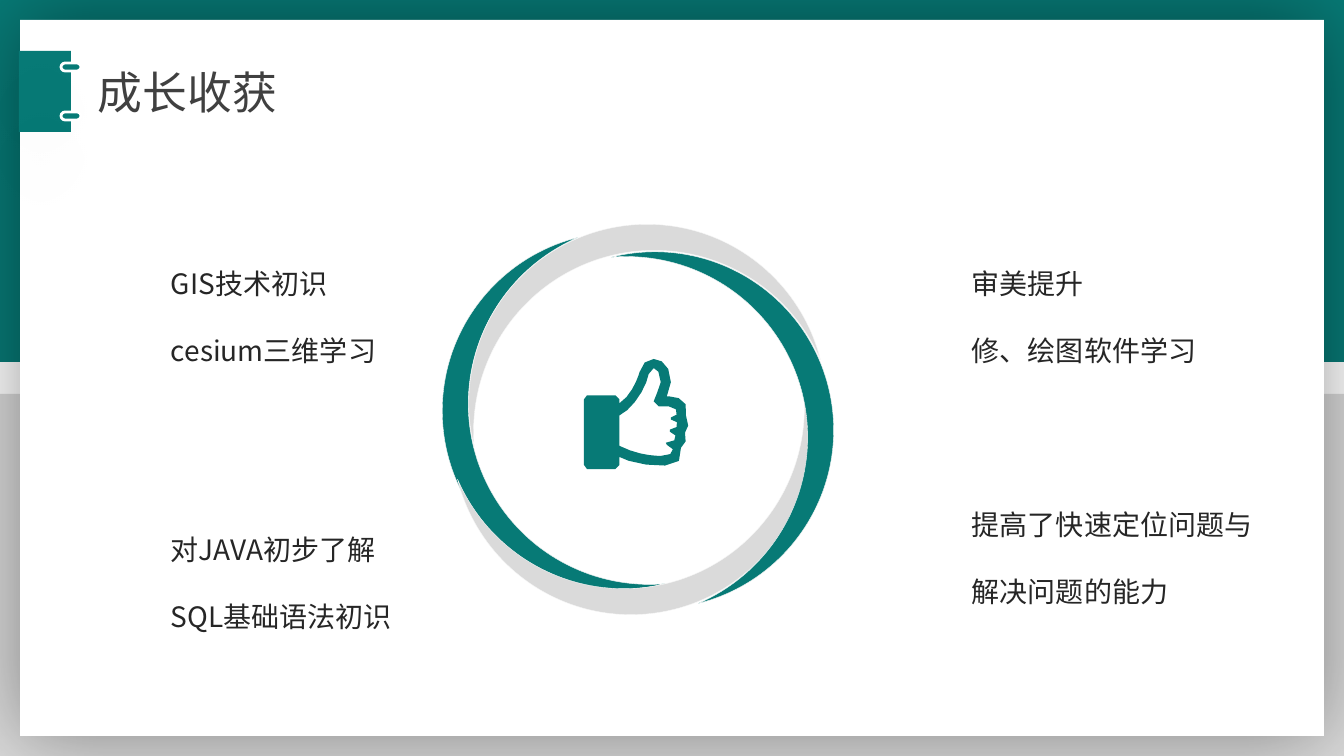
from math import dist
from lxml.etree import SubElement
from pptx import Presentation
from pptx.dml.color import RGBColor
from pptx.enum.shapes import MSO_SHAPE as Preset
from pptx.enum.text import MSO_AUTO_SIZE as AutoSize
from pptx.oxml.ns import qn
from pptx.util import Pt

SCALE = 914400 / 100.8
FONT = "Noto Sans CJK SC"
COLORS = {
    "teal": "077A76",
    "grey": "DADADA",
    "white": "FFFFFF",
    "edge": "F8F8F8",
    "title": "404040",
    "body": "262626",
    "shadow": "000000",
}

MOONS = [
    (445, 254, 345.9, "teal"),
    (536, 138, 75.9, "grey"),
    (563, 344, 255.9, "grey"),
    (652, 230, 165.9, "teal"),
]

NOTES = [
    (161, 228, 146, ["GIS技术初识", "cesium三维学习"]),
    (962, 228, 136, ["审美提升", "修、绘图软件学习"]),
    (161, 494, 136, ["对JAVA初步了解", "SQL基础语法初识"]),
    (962, 469, 146, ["提高了快速定位问题与解决问题的能力"]),
]

HAND_OUTLINE = [
    (96, 88),
    (106, 118, 40, 102, 35, 97), (35, 105),
    (35, 107, 33, 109, 31, 109), (3, 109),
    (1, 109, 0, 107, 0, 105), (0, 40),
    (0, 38, 1, 36, 3, 36), (31, 36),
    (33, 36, 35, 38, 35, 40), (35, 44),
    (48, 36, 55, 14, 55, 13),
    (57, 5, 62, 0, 69, 0),
    (77, 0, 86, 7, 86, 23),
    (86, 27, 84, 33, 82, 37), (84, 37),
    (94, 37, 105, 42, 101, 56),
    (105, 63, 103, 70, 100, 73),
    (103, 79, 100, 85, 96, 88),
]
HAND_HOLE = [
    (85, 70),
    (95, 70, 95, 60, 86, 60),
    (85, 59, 85, 58, 86, 58),
    (95, 58, 94, 47, 84, 47), (74, 47),
    (71, 47, 69, 45, 69, 42),
    (69, 38, 76, 29, 76, 23),
    (76, 14, 72, 9, 69, 9),
    (66, 9, 65, 11, 64, 15),
    (62, 28, 48, 50, 35, 56), (35, 86),
    (53, 95, 69, 96, 76, 96),
    (88, 97, 93, 88, 82, 85),
    (79, 84, 79, 83, 81, 83),
    (93, 83, 94, 74, 85, 72),
    (83, 72, 83, 70, 85, 70),
]


def px(length):
    return round(length * SCALE)


def color(name):
    return RGBColor.from_string(COLORS[name])


def paint(shape, fill, line=None, width=0):
    shape.shadow.inherit = False
    shape.fill.solid()
    shape.fill.fore_color.rgb = color(fill)
    if line:
        shape.line.color.rgb = color(line)
        shape.line.width = Pt(width)
    else:
        shape.line.fill.background()


def add_block(shapes, preset, frame, fill, line=None, width=0, rotation=0, adjust=None):
    block = shapes.add_shape(preset, *map(px, frame))
    paint(block, fill, line, width)
    block.rotation = rotation
    if adjust is not None:
        block.adjustments[0] = adjust
    return block


def add_shadow(shape, alpha, angle, distance, blur):
    effects = shape.element.spPr.find(qn("a:effectLst"))
    shadow = SubElement(effects, qn("a:outerShdw"), blurRad=str(px(blur)),
                        dist=str(px(distance)), dir=str(angle * 60000),
                        algn="ctr", rotWithShape="0")
    tint = SubElement(shadow, qn("a:srgbClr"), val=COLORS["shadow"])
    SubElement(tint, qn("a:alpha"), val=str(alpha * 1000))


def add_text(page, lines, frame, size, fill, spacing=None):
    box = page.shapes.add_textbox(*map(px, frame))
    box.text_frame.word_wrap = True
    box.text_frame.auto_size = AutoSize.SHAPE_TO_FIT_TEXT
    for index, line in enumerate(lines):
        para = box.text_frame.add_paragraph() if index else box.text_frame.paragraphs[0]
        if spacing:
            para.line_spacing = spacing
        span = para.add_run()
        span.text = line
        span.font.size = Pt(size)
        span.font.name = FONT
        span.font.color.rgb = color(fill)
        SubElement(span._r.get_or_add_rPr(), qn("a:ea"), typeface=FONT)


def trace(segments, left, top, stretch=1.01):
    points = [segments[0]]
    for segment in segments[1:]:
        if len(segment) == 2:
            points.append(segment)
            continue
        start = points[-1]
        controls = start + segment
        reach = dist(start, segment[:2]) + dist(segment[:2], segment[2:4])
        steps = max(1, min(5, round(reach / 7)))
        for step in range(1, steps + 1):
            t = step / steps
            weights = ((1 - t) ** 3, 3 * t * (1 - t) ** 2, 3 * t * t * (1 - t), t ** 3)
            points.append(tuple(sum(w * c for w, c in zip(weights, controls[axis::2]))
                                for axis in (0, 1)))
    return [(px(left + stretch * x), px(top + stretch * y)) for x, y in points]


def add_thumb(page, left, top):
    outline = trace(HAND_OUTLINE, left, top)
    hole = trace(HAND_HOLE, left, top)
    builder = page.shapes.build_freeform(*outline[0], scale=1.0)
    builder.add_line_segments(outline[1:], close=True)
    builder.move_to(*hole[0])
    builder.add_line_segments(hole[1:], close=True)
    paint(builder.convert_to_shape(), "teal")


def add_backdrop(page):
    add_block(page.shapes, Preset.RECTANGLE, (0, 0, 1344, 362), "teal")
    add_block(page.shapes, Preset.RECTANGLE, (0, 394, 1344, 362), "grey")
    sheet = add_block(page.shapes, Preset.RECTANGLE, (20, 20, 1304, 716), "white")
    add_shadow(sheet, alpha=40, angle=260, distance=0, blur=88)


def add_heading_mark(page):
    add_block(page.shapes, Preset.RECTANGLE, (19, 51, 52, 81), "teal")
    clips = page.shapes.add_group_shape()
    for top in (57, 106):
        clip = add_block(clips.shapes, Preset.ROUNDED_RECTANGLE, (67, top, 8, 20), "teal",
                         line="white", width=2, rotation=90, adjust=0.5)
        add_shadow(clip, alpha=13, angle=125, distance=53, blur=63)


def main():
    deck = Presentation()
    deck.slide_width, deck.slide_height = px(1344), px(756)
    page = deck.slides.add_slide(deck.slide_layouts[6])
    add_backdrop(page)
    add_heading_mark(page)
    for left, top, rotation, fill in MOONS:
        add_block(page.shapes, Preset.MOON, (left, top, 179, 357), fill,
                  line="edge", width=0.25, rotation=rotation, adjust=0.15)
    add_thumb(page, 584, 359)
    add_text(page, ["成长收获"], (88, 60, 452, 65), size=32, fill="title")
    for left, top, height, lines in NOTES:
        add_text(page, lines, (left, top, 304, height), size=20, fill="body", spacing=2.0)
    deck.save("out.pptx")


if __name__ == "__main__":
    main()
